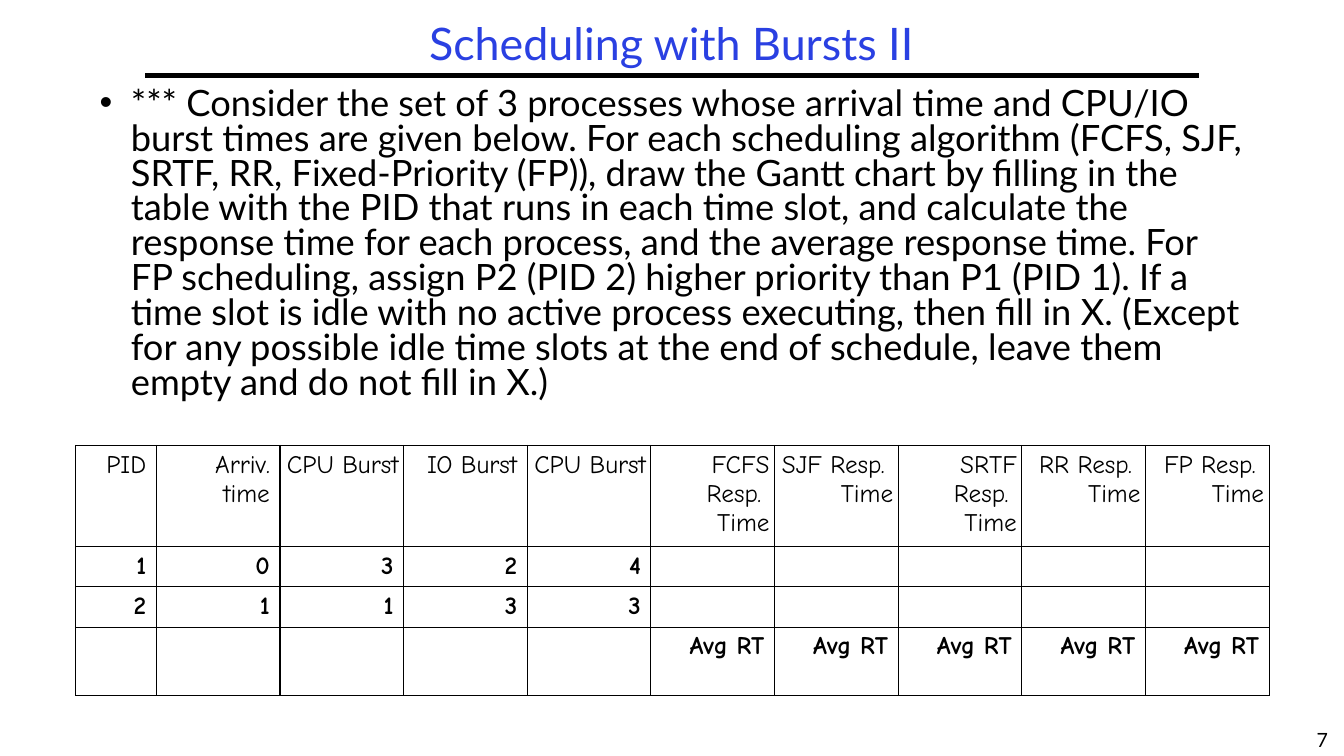
from lxml import etree
from pptx import Presentation
from pptx.dml.color import RGBColor
from pptx.enum.shapes import MSO_CONNECTOR
from pptx.enum.text import MSO_ANCHOR, PP_ALIGN
from pptx.oxml.ns import qn
from pptx.util import Inches, Pt

STRAIGHT = MSO_CONNECTOR.STRAIGHT
TOP, MIDDLE = MSO_ANCHOR.TOP, MSO_ANCHOR.MIDDLE
LEFT, CENTER, RIGHT = PP_ALIGN.LEFT, PP_ALIGN.CENTER, PP_ALIGN.RIGHT

BLACK, BLUE = "000000", "2A40E2"
TITLE_FONT = {"name": "Lato", "size": Pt(32)}
BODY_FONT = {"name": "Lato", "size": Pt(25.9)}
NUMBER_FONT = {"name": "Lato", "size": Pt(14)}
CELL_FONT = {"name": "Comic Neue", "size": Pt(18)}

TASK = (
    "*** Consider the set of 3 processes whose arrival time and CPU/IO burst times "
    "are given below. For each scheduling algorithm (FCFS, SJF, SRTF, RR, "
    "Fixed-Priority (FP)), draw the Gantt chart by filling in the table with the PID "
    "that runs in each time slot, and calculate the response time for each process, "
    "and the average response time. For FP scheduling, assign P2 (PID 2) higher "
    "priority than P1 (PID 1). If a time slot is idle with no active process "
    "executing, then fill in X. (Except for any possible idle time slots at the end "
    "of schedule, leave them empty and do not fill in X.)"
)

ALGORITHMS = ["FCFS", "SJF", "SRTF", "RR", "FP"]
BLANKS = [""] * 5
ROWS = [
    ["PID", "Arriv. time", "CPU Burst", "IO Burst", "CPU Burst"]
    + [f"{name} Resp.  Time" for name in ALGORITHMS],
    ["1", "0", "3", "2", "4"] + BLANKS,
    ["2", "1", "1", "3", "3"] + BLANKS,
    BLANKS + ["Avg RT"] * len(ALGORITHMS),
]
ROW_HEIGHTS = [0.97, 0.39, 0.39, 0.68]
TABLE_WIDTH, PID_WIDTH = 11.84, 0.8


def color(value):
    return RGBColor.from_string(value)


def apply(target, values):
    for name, value in values.items():
        setattr(target, name, value)


def write(para, text, font, align, ink=BLACK):
    para.alignment = align
    span = para.add_run()
    span.text = text
    apply(span.font, font)
    span.font.color.rgb = color(ink)


def add_text(page, place, text, font, align, ink=BLACK, anchor=TOP, wrap=True):
    box = page.shapes.add_textbox(*map(Inches, place))
    apply(box.text_frame, {"word_wrap": wrap, "vertical_anchor": anchor})
    para = box.text_frame.paragraphs[0]
    write(para, text, font, align, ink)
    return para


def add_bullet(para, indent):
    props = para._p.get_or_add_pPr()
    props.set("marL", str(Inches(indent)))
    props.set("indent", str(-Inches(indent)))
    etree.SubElement(props, qn("a:buFont")).set("typeface", "Arial")
    etree.SubElement(props, qn("a:buChar")).set("char", "•")


def add_rule(page, left, right, top):
    rule = page.shapes.add_connector(
        STRAIGHT, Inches(left), Inches(top), Inches(right), Inches(top))
    rule.line.width = Pt(3)
    rule.line.color.rgb = color(BLACK)
    etree.SubElement(rule._element.spPr, qn("a:effectLst"))


def add_borders(cell):
    props = cell._tc.get_or_add_tcPr()
    for position, side in enumerate(("lnL", "lnR", "lnT", "lnB")):
        border = etree.Element(qn(f"a:{side}"), w=str(Pt(1)))
        fill = etree.SubElement(border, qn("a:solidFill"))
        etree.SubElement(fill, qn("a:srgbClr")).set("val", BLACK)
        props.insert(position, border)


def fill_cell(cell, text, bold, narrow):
    cell.fill.background()
    add_borders(cell)
    if text:
        write(cell.text_frame.paragraphs[0], text, {**CELL_FONT, "bold": bold}, RIGHT)
    # Empty cells take no margin, so they never stretch their row
    across = (0.05 if narrow else 0.1) if text else 0
    down = 0.05 if text else 0
    apply(cell, {"margin_left": Inches(across), "margin_right": Inches(across),
                 "margin_top": Inches(down), "margin_bottom": Inches(down)})


def add_process_table(page, left, top):
    columns = len(ROWS[0])
    table = page.shapes.add_table(
        len(ROWS), columns, Inches(left), Inches(top),
        Inches(TABLE_WIDTH), Inches(sum(ROW_HEIGHTS))).table
    apply(table, {"first_row": False, "horz_banding": False})
    for index, column in enumerate(table.columns):
        shared = (TABLE_WIDTH - PID_WIDTH) / (columns - 1)
        column.width = Inches(shared if index else PID_WIDTH)
    for row, height in zip(table.rows, ROW_HEIGHTS):
        row.height = Inches(height)
    for r, texts in enumerate(ROWS):
        for c, text in enumerate(texts):
            narrow = r == 0 and (text == "CPU Burst" or "Resp." in text)
            fill_cell(table.cell(r, c), text, r > 0, narrow)


def main():
    deck = Presentation()
    deck.slide_width, deck.slide_height = Inches(13.33), Inches(7.5)
    page = deck.slides.add_slide(deck.slide_layouts[6])

    # Page number and title rule
    add_text(page, (12.9, 7.17, 0.43, 0.33), "7", NUMBER_FONT, CENTER, wrap=False)
    add_rule(page, 1.44, 11.89, 0.75)

    # Title
    title = add_text(page, (1.44, 0.17, 10.44, 0.58), "Scheduling with Bursts II",
                     TITLE_FONT, CENTER, BLUE, MIDDLE)
    title.line_spacing = 0.9

    # Task
    task = add_text(page, (0.89, 0.83, 11.56, 3.17), TASK, BODY_FONT, LEFT)
    task.line_spacing = 0.8
    add_bullet(task, 0.31)

    # Processes and response times
    add_process_table(page, 0.75, 4.42)

    deck.save("out.pptx")


if __name__ == "__main__":
    main()
